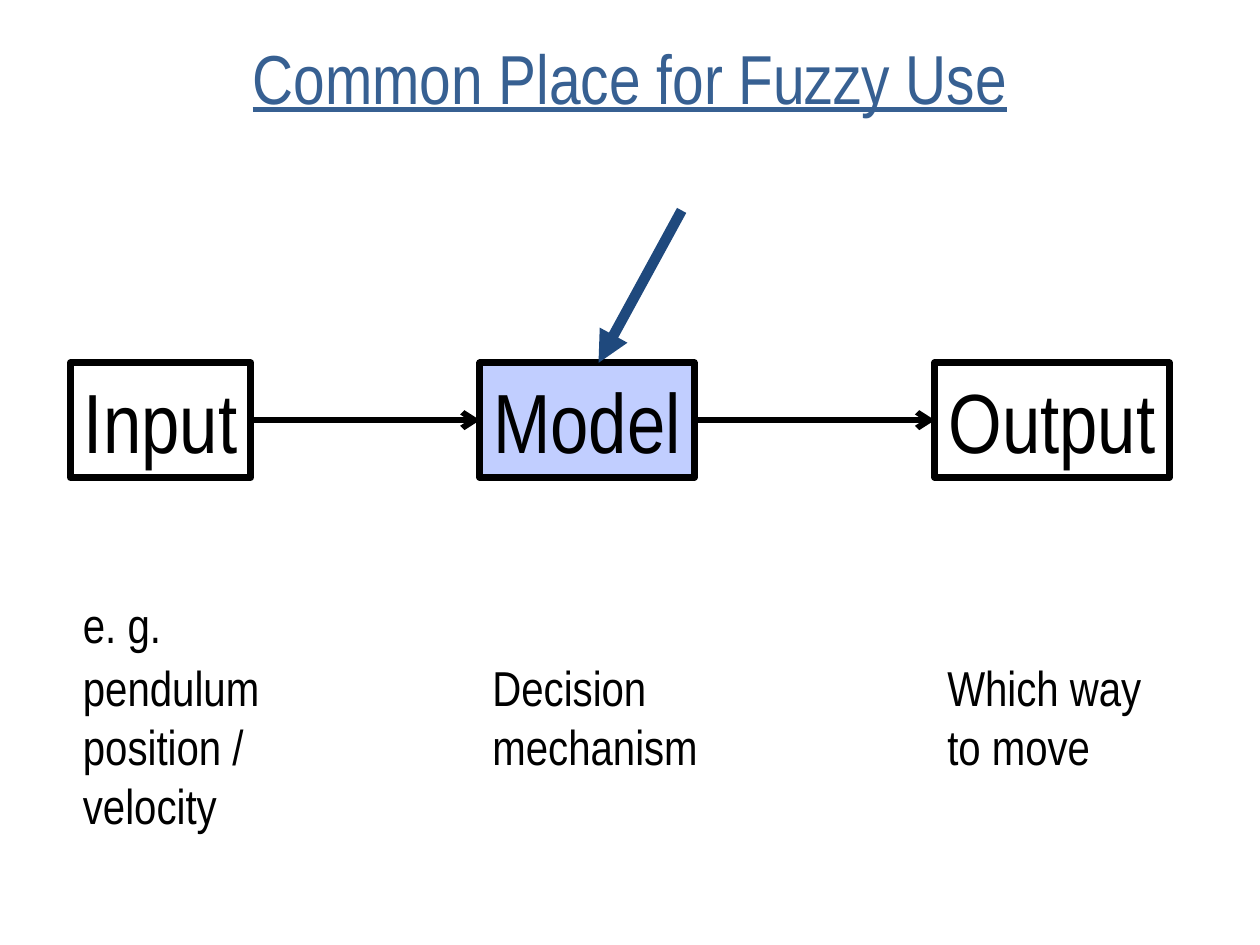
from lxml import etree
from pptx import Presentation
from pptx.dml.color import RGBColor
from pptx.enum import shapes, text
from pptx.oxml import ns
from pptx.util import Inches, Pt

BLACK = RGBColor(0x00, 0x00, 0x00)
WHITE = RGBColor(0xFF, 0xFF, 0xFF)
LAVENDER = RGBColor(0xC1, 0xCE, 0xFF)
TITLE_BLUE = RGBColor(0x37, 0x60, 0x92)
POINTER_BLUE = RGBColor(0x1F, 0x49, 0x7D)
FONT = "Arial Narrow"

TITLE = "Common Place for Fuzzy Use"
STAGES = [
    ("Input", 0.56, 1.43, WHITE, "pendulum position / velocity", 2, 1.5),
    ("Model", 3.81, 1.7, LAVENDER, "Decision mechanism", 2.25, 1.03),
    ("Output", 7.42, 1.86, None, "Which way to move", 2, 1.03),
]
EXAMPLE = ("e. g.", 0.56, 4.67, 2.5, 0.56)
POINTER = (5.41, 1.67, 4.75, 2.88)
STAGE_TOP, STAGE_HEIGHT = 2.88, 0.91
CAPTION_TOP = 5.17


def write(shape, words, size, color=BLACK, align=text.PP_ALIGN.LEFT,
          anchor=text.MSO_ANCHOR.TOP, wrap=True):
    frame = shape.text_frame
    frame.text = words
    frame.word_wrap = wrap
    frame.vertical_anchor = anchor
    paragraph = frame.paragraphs[0]
    paragraph.alignment = align
    font = paragraph.runs[0].font
    font.name, font.size = FONT, Pt(size)
    font.color.rgb = color
    return font


def add_text(slide, words, left, top, width, height, size=28, **style):
    box = slide.shapes.add_textbox(*map(Inches, (left, top, width, height)))
    return write(box, words, size, **style)


def add_stage(slide, name, left, width, fill):
    stage = slide.shapes.add_shape(
        shapes.MSO_SHAPE.RECTANGLE,
        *map(Inches, (left, STAGE_TOP, width, STAGE_HEIGHT)))
    stage.shadow.inherit = False
    if fill is None:
        stage.fill.background()
    else:
        stage.fill.solid()
        stage.fill.fore_color.rgb = fill
    stage.line.color.rgb = BLACK
    stage.line.width = Pt(4)
    write(stage, name, 48, align=text.PP_ALIGN.CENTER,
          anchor=text.MSO_ANCHOR.MIDDLE, wrap=False)
    return stage


def add_arrow(slide, ends, color, width, head):
    arrow = slide.shapes.add_connector(
        shapes.MSO_CONNECTOR.STRAIGHT, *map(Inches, ends))
    arrow.line.color.rgb = color
    arrow.line.width = Pt(width)
    etree.SubElement(arrow.line._get_or_add_ln(), ns.qn("a:tailEnd"), type=head)
    etree.SubElement(arrow._element.spPr, ns.qn("a:effectLst"))
    return arrow


def main():
    deck = Presentation()
    deck.slide_width, deck.slide_height = Inches(10), Inches(7.5)
    slide = deck.slides.add_slide(deck.slide_layouts[6])

    title_font = add_text(slide, TITLE, 0.5, 0.3, 9, 0.62, size=39.6,
                          color=TITLE_BLUE, align=text.PP_ALIGN.CENTER,
                          anchor=text.MSO_ANCHOR.MIDDLE)
    title_font.underline = True

    stages = []
    for name, left, width, fill, caption, caption_width, caption_height in STAGES:
        stages.append(add_stage(slide, name, left, width, fill))
        add_text(slide, caption, left, CAPTION_TOP, caption_width, caption_height)
    add_text(slide, *EXAMPLE)

    for source, target in zip(stages, stages[1:]):
        flow = add_arrow(slide, (0, 0, 1, 1), BLACK, 3.25, "arrow")
        flow.begin_connect(source, 3)
        flow.end_connect(target, 1)
    add_arrow(slide, POINTER, POINTER_BLUE, 6, "triangle")

    deck.save("out.pptx")


if __name__ == "__main__":
    main()
